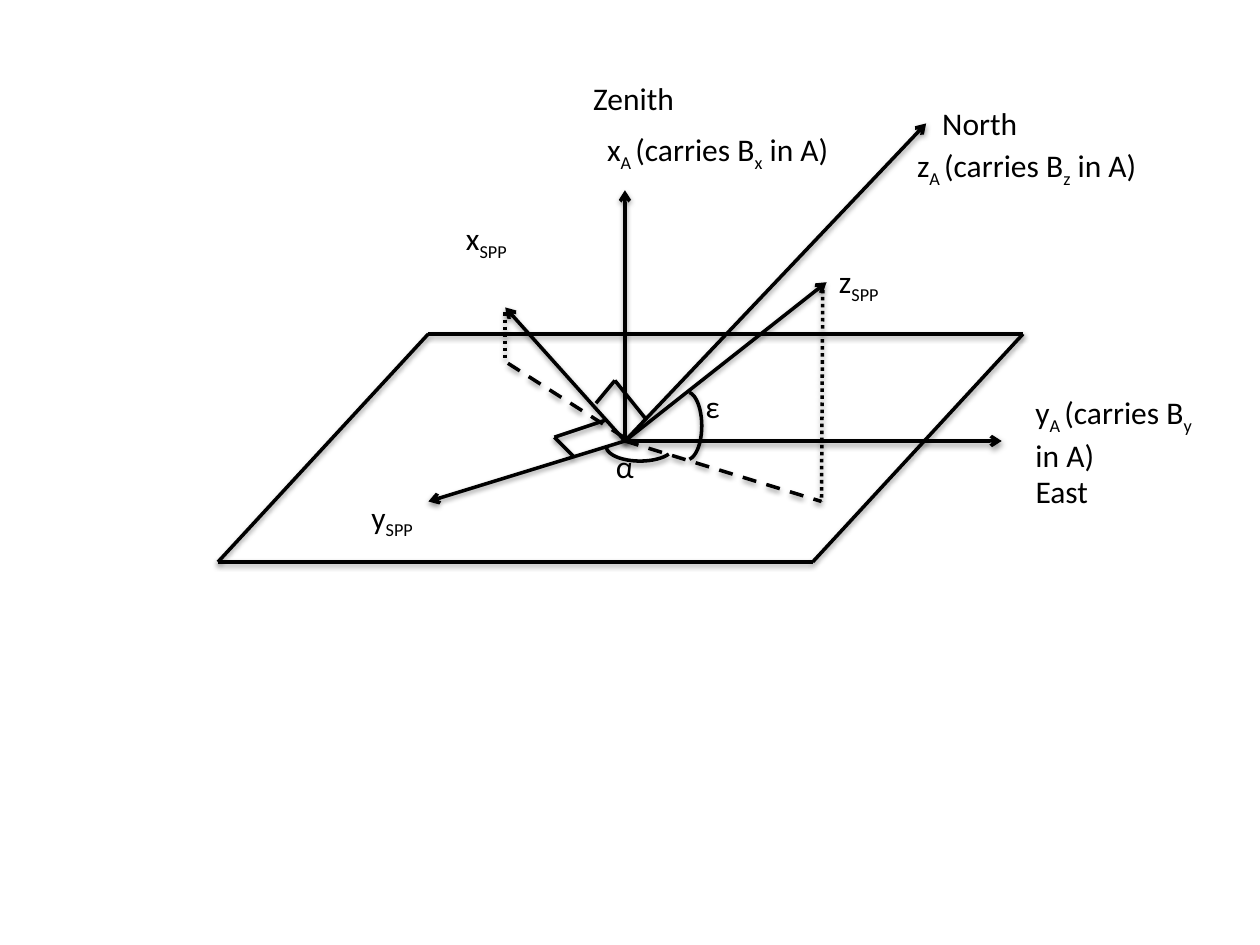
from dataclasses import dataclass

from lxml.etree import SubElement
from pptx import Presentation
from pptx.dml.color import RGBColor
from pptx.enum.dml import MSO_LINE_DASH_STYLE as Dash
from pptx.enum.shapes import MSO_CONNECTOR as Connector, MSO_SHAPE as Shape
from pptx.enum.text import MSO_AUTO_SIZE as AutoSize
from pptx.oxml.ns import qn
from pptx.util import Inches, Pt


@dataclass(frozen=True)
class Theme:
    ink: RGBColor = RGBColor(0, 0, 0)
    font: str = "Calibri"
    text_size: Pt = Pt(18)
    line_width: Pt = Pt(2)
    shadow_blur: Pt = Pt(3.1)
    shadow_distance: Pt = Pt(1.6)
    shadow_alpha: int = 38000


THEME = Theme()
ORIGIN = (4.96, 3.5)

# Corners of the horizontal plane
PLANE = [(3.4, 2.65), (8.12, 2.65), (6.45, 4.46), (1.73, 4.46)]

# Tips of the axes: x, y, z of A, then x, y, z of SPP
AXIS_TIPS = [(4.96, 1.51), (7.95, 3.5), (7.35, 0.98),
             (4.01, 2.44), (3.4, 3.98), (6.56, 2.24)]

# Projections onto the plane and the drops that lead to them
PROJECTIONS = [((4.95, 3.47), (4.01, 2.87)), (ORIGIN, (6.52, 3.98))]
DROPS = [((4.01, 2.48), (4.01, 2.87)), ((6.53, 2.3), (6.52, 3.98))]

# Right-angle marks
RIGHT_ANGLES = [[(5.13, 3.33), (4.88, 3.02), (4.73, 3.2)],
                [(4.82, 3.33), (4.4, 3.47), (4.55, 3.62)]]

# Angle arcs: left, top, rotation, start and end adjustments
ARCS = [(4.81, 3.42, 0, 117.41, 215.79), (5.18, 3.26, 270, 110.82, 213.12)]

# Labels: text with subscripts between bars, left, top, width
LABELS = [
    ("East", 8.12, 3.7, 0.62),
    ("z|A |(carries B|z| in A) ", 7.18, 1.11, 2),
    ("North", 7.38, 0.78, 0.8),
    ("x|A |(carries B|x| in A) ", 4.72, 0.98, 2),
    ("Zenith", 4.61, 0.58, 0.85),
    ("x|SPP", 3.6, 1.69, 0.57),
    ("y|SPP", 2.85, 3.9, 0.57),
    ("z|SPP", 6.56, 2.03, 0.55),
    ("ε", 5.5, 3.02, 0.32),
    ("α", 4.79, 3.5, 0.35),
]


def style_stroke(item):
    """Give a line or arc its ink, width and soft shadow."""
    item.line.color.rgb = THEME.ink
    item.line.width = THEME.line_width
    effects = SubElement(item._element.spPr, qn("a:effectLst"))
    shadow = SubElement(effects, qn("a:outerShdw"), dir="5400000",
                        blurRad=str(int(THEME.shadow_blur)),
                        dist=str(int(THEME.shadow_distance)), rotWithShape="0")
    color = SubElement(shadow, qn("a:srgbClr"), val=str(THEME.ink))
    SubElement(color, qn("a:alpha"), val=str(THEME.shadow_alpha))


def add_line(page, start, end, dash=None, arrow=False):
    line = page.shapes.add_connector(
        Connector.STRAIGHT, *(Inches(value) for value in (*start, *end)))
    style_stroke(line)
    if dash is not None:
        line.line.dash_style = dash
    if arrow:
        SubElement(line.line._get_or_add_ln(), qn("a:tailEnd"), type="arrow")


def add_polyline(page, points):
    for start, end in zip(points, points[1:]):
        add_line(page, start, end)


def add_arc(page, left, top, rotation, first, last):
    arc = page.shapes.add_shape(
        Shape.ARC, Inches(left), Inches(top), Inches(0.54), Inches(0.24))
    arc.rotation = rotation
    arc.adjustments[0], arc.adjustments[1] = first, last
    frame = arc._element.spPr.find(qn("a:xfrm"))
    frame.set("flipH", "1")
    frame.set("flipV", "1")
    arc.fill.background()
    style_stroke(arc)


def add_label(page, text, left, top, width, height=0.4, wrap=False):
    box = page.shapes.add_textbox(
        Inches(left), Inches(top), Inches(width), Inches(height))
    box.text_frame.word_wrap = wrap
    box.text_frame.auto_size = AutoSize.SHAPE_TO_FIT_TEXT
    para = box.text_frame.paragraphs[0]
    for index, part in enumerate(text.split("|")):
        span = para.add_run()
        span.text = part
        span.font.name = THEME.font
        span.font.size = THEME.text_size
        span.font.color.rgb = THEME.ink
        if index % 2:
            span.font._element.set("baseline", "-25000")


def main():
    deck = Presentation()
    deck.slide_width, deck.slide_height = Inches(10), Inches(7.5)
    page = deck.slides.add_slide(deck.slide_layouts[6])

    # Plane and axes
    add_polyline(page, PLANE + PLANE[:1])
    for tip in AXIS_TIPS:
        add_line(page, ORIGIN, tip, arrow=True)

    # Projections
    for start, end in PROJECTIONS:
        add_line(page, start, end, Dash.DASH)
    for start, end in DROPS:
        add_line(page, start, end, Dash.ROUND_DOT)

    # Angles
    for corner in RIGHT_ANGLES:
        add_polyline(page, corner)
    for arc in ARCS:
        add_arc(page, *arc)

    # Labels
    add_label(page, "y|A |(carries B|y| in A) ", 8.12, 3.07, 1.5, 0.71, wrap=True)
    for label in LABELS:
        add_label(page, *label)

    deck.save("out.pptx")


main()
